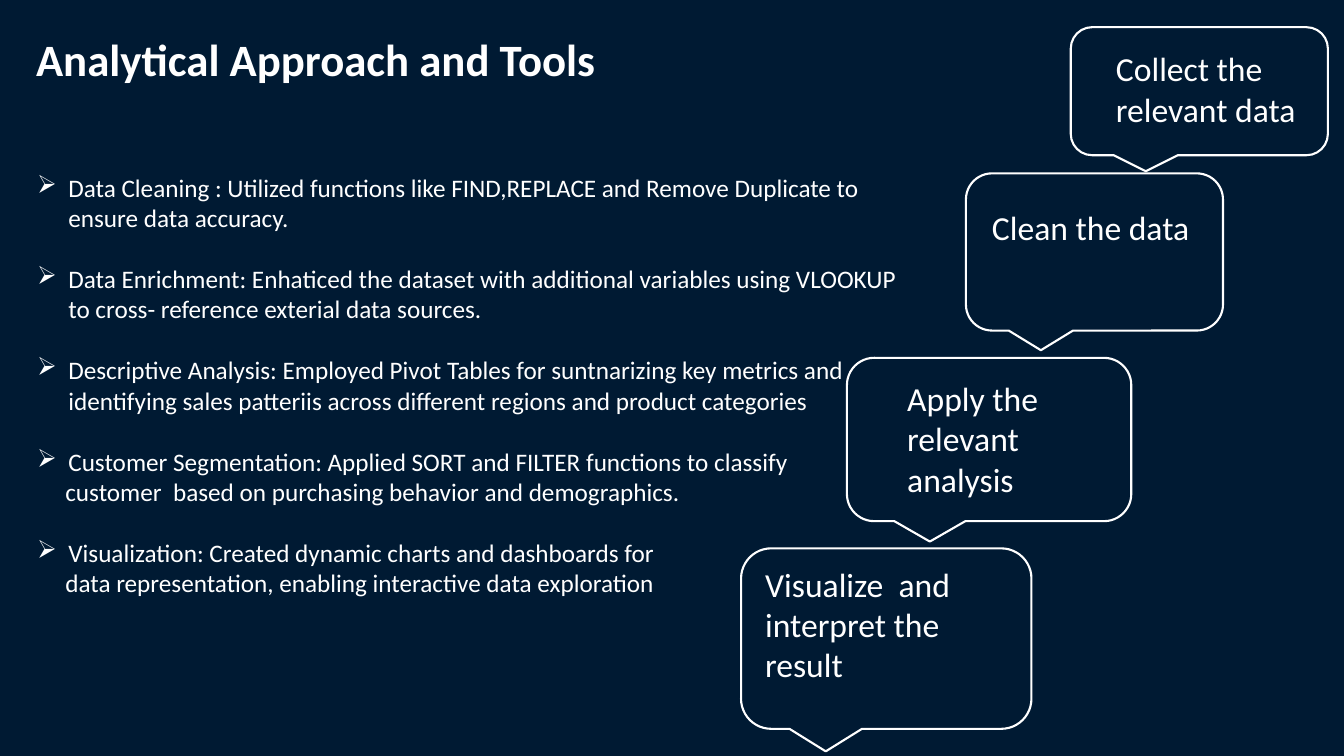
from dataclasses import dataclass
from typing import NamedTuple

from lxml import etree
from pptx import Presentation
from pptx.dml.color import RGBColor
from pptx.enum.shapes import MSO_SHAPE
from pptx.enum.text import MSO_AUTO_SIZE
from pptx.oxml.ns import qn
from pptx.slide import Slide
from pptx.text.text import TextFrame
from pptx.util import Inches, Pt

CALLOUT = MSO_SHAPE.ROUNDED_RECTANGULAR_CALLOUT
GROW = MSO_AUTO_SIZE.SHAPE_TO_FIT_TEXT


@dataclass(frozen=True)
class Theme:
    navy: RGBColor = RGBColor(0x00, 0x1A, 0x33)
    white: RGBColor = RGBColor(0xFF, 0xFF, 0xFF)
    font: str = "Calibri"
    title: Pt = Pt(32)
    step: Pt = Pt(24)
    body: Pt = Pt(18)
    outline: Pt = Pt(1.5)
    method_gap: Pt = Pt(22)


THEME = Theme()


class Box(NamedTuple):
    left: float
    top: float
    width: float
    height: float

    def lengths(self) -> list[Inches]:
        return [Inches(value) for value in self]


@dataclass(frozen=True)
class Step:
    label: str
    callout: Box
    label_box: Box


@dataclass(frozen=True)
class Method:
    text: str
    continuation: str = ""


TITLE_BOX = Box(0.26, 0.27, 8.96, 0.64)
METHODS_BOX = Box(0.27, 1.66, 8.96, 4.34)
HANGING = Inches(0.31)
CONTINUATION_INDENT = Inches(0.28)

STEPS = [
    Step("Collect the relevant data",
         Box(10.62, 0.27, 2.55, 1.27), Box(10.97, 0.43, 2.37, 0.91)),
    Step("Clean the data",
         Box(9.58, 1.72, 2.55, 1.56), Box(9.74, 2, 2.25, 0.5)),
    Step("Apply the relevant analysis",
         Box(8.4, 3.55, 2.82, 1.62), Box(8.9, 3.7, 2.07, 1.31)),
    Step("Visualize  and interpret the result",
         Box(7.35, 5.44, 2.88, 1.79), Box(7.49, 5.54, 2.61, 1.31)),
]

METHODS = [
    Method("Data Cleaning : Utilized functions like FIND,REPLACE and Remove "
           "Duplicate to ensure data accuracy."),
    Method("Data Enrichment: Enhaticed the dataset with additional variables "
           "using VLOOKUP to cross- reference exterial data sources."),
    Method("Descriptive Analysis: Employed Pivot Tables for suntnarizing key "
           "metrics and identifying sales patteriis across different regions "
           "and product categories"),
    Method("Customer Segmentation: Applied SORT and FILTER functions to classify",
           "customer  based on purchasing behavior and demographics."),
    Method("Visualization: Created dynamic charts and dashboards for",
           "data representation, enabling interactive data exploration"),
]


def add_frame(slide: Slide, box: Box) -> TextFrame:
    frame = slide.shapes.add_textbox(*box.lengths()).text_frame
    for name, value in {"word_wrap": True, "auto_size": GROW}.items():
        setattr(frame, name, value)
    return frame


def write(paragraph, text: str, size: Pt, bold: bool = False) -> None:
    run = paragraph.add_run()
    run.text = text
    font_format = {"name": THEME.font, "size": size, "bold": bold}
    for name, value in font_format.items():
        setattr(run.font, name, value)
    run.font.color.rgb = THEME.white


def indent(paragraph, margin: int, first_line: int = 0, bullet: str = "") -> None:
    properties = paragraph._p.get_or_add_pPr()
    for name, value in {"marL": margin, "indent": first_line}.items():
        properties.set(name, str(int(value)))
    if bullet:
        etree.SubElement(properties, qn("a:buChar"), char=bullet)


def add_callout(slide: Slide, box: Box) -> None:
    callout = slide.shapes.add_shape(CALLOUT, *box.lengths())
    callout.shadow.inherit = False
    callout.fill.solid()
    callout.fill.fore_color.rgb = THEME.navy
    callout.line.color.rgb = THEME.white
    callout.line.width = THEME.outline


def add_methods(slide: Slide) -> None:
    frame = add_frame(slide, METHODS_BOX)
    for index, method in enumerate(METHODS):
        paragraph = frame.add_paragraph() if index else frame.paragraphs[0]
        if index:
            paragraph.space_before = THEME.method_gap
        indent(paragraph, HANGING, -HANGING, "➢")
        write(paragraph, method.text, THEME.body)
        if method.continuation:
            continuation = frame.add_paragraph()
            indent(continuation, CONTINUATION_INDENT)
            write(continuation, method.continuation, THEME.body)


def main() -> None:
    deck = Presentation()
    deck.slide_width, deck.slide_height = Inches(13.33), Inches(7.5)
    slide = deck.slides.add_slide(deck.slide_layouts[6])
    slide.background.fill.solid()
    slide.background.fill.fore_color.rgb = THEME.navy

    title = add_frame(slide, TITLE_BOX).paragraphs[0]
    write(title, "Analytical Approach and Tools", THEME.title, bold=True)
    for step in STEPS:
        add_callout(slide, step.callout)
    for step in STEPS:
        label = add_frame(slide, step.label_box).paragraphs[0]
        write(label, step.label, THEME.step)
    add_methods(slide)
    deck.save("out.pptx")


if __name__ == "__main__":
    main()
